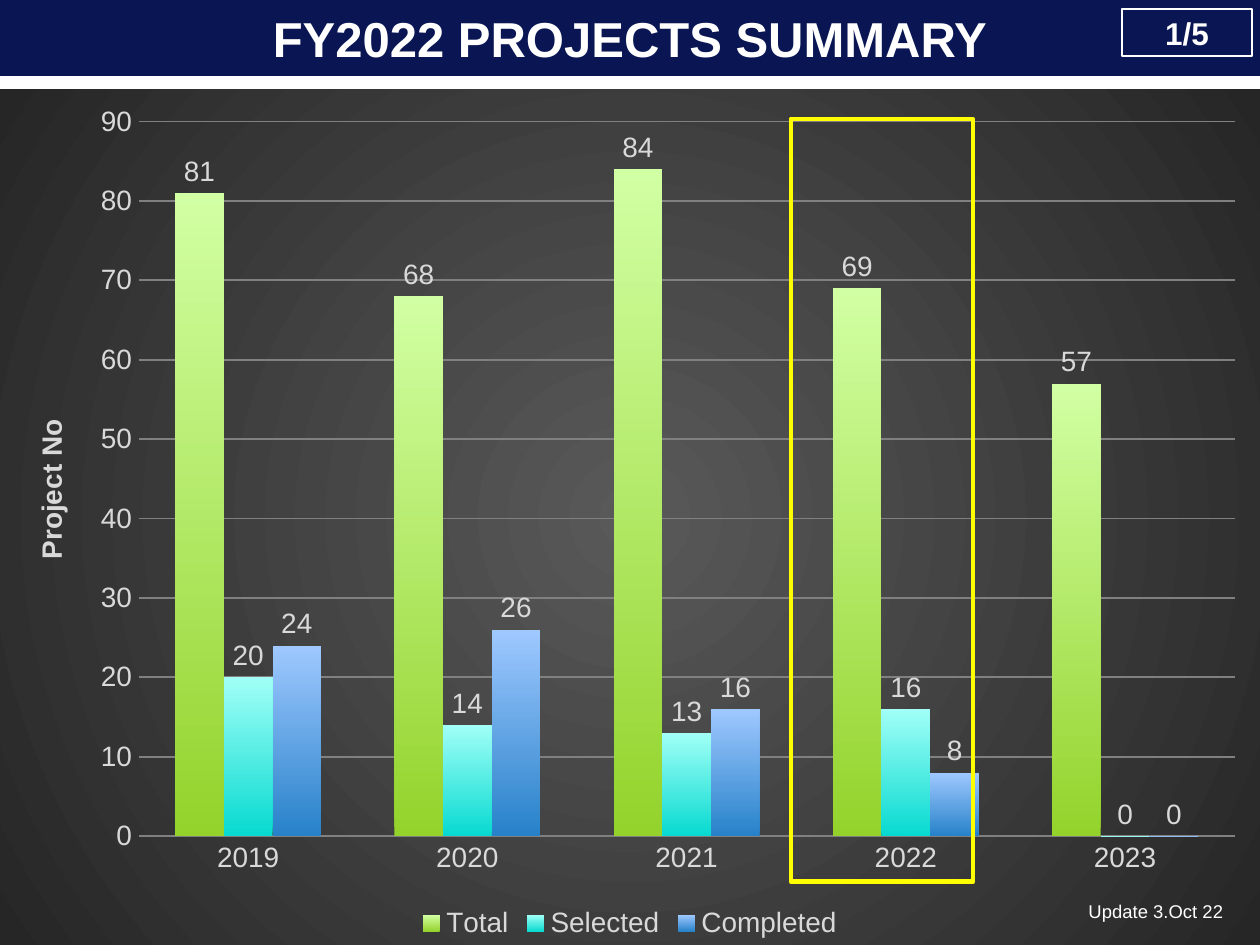
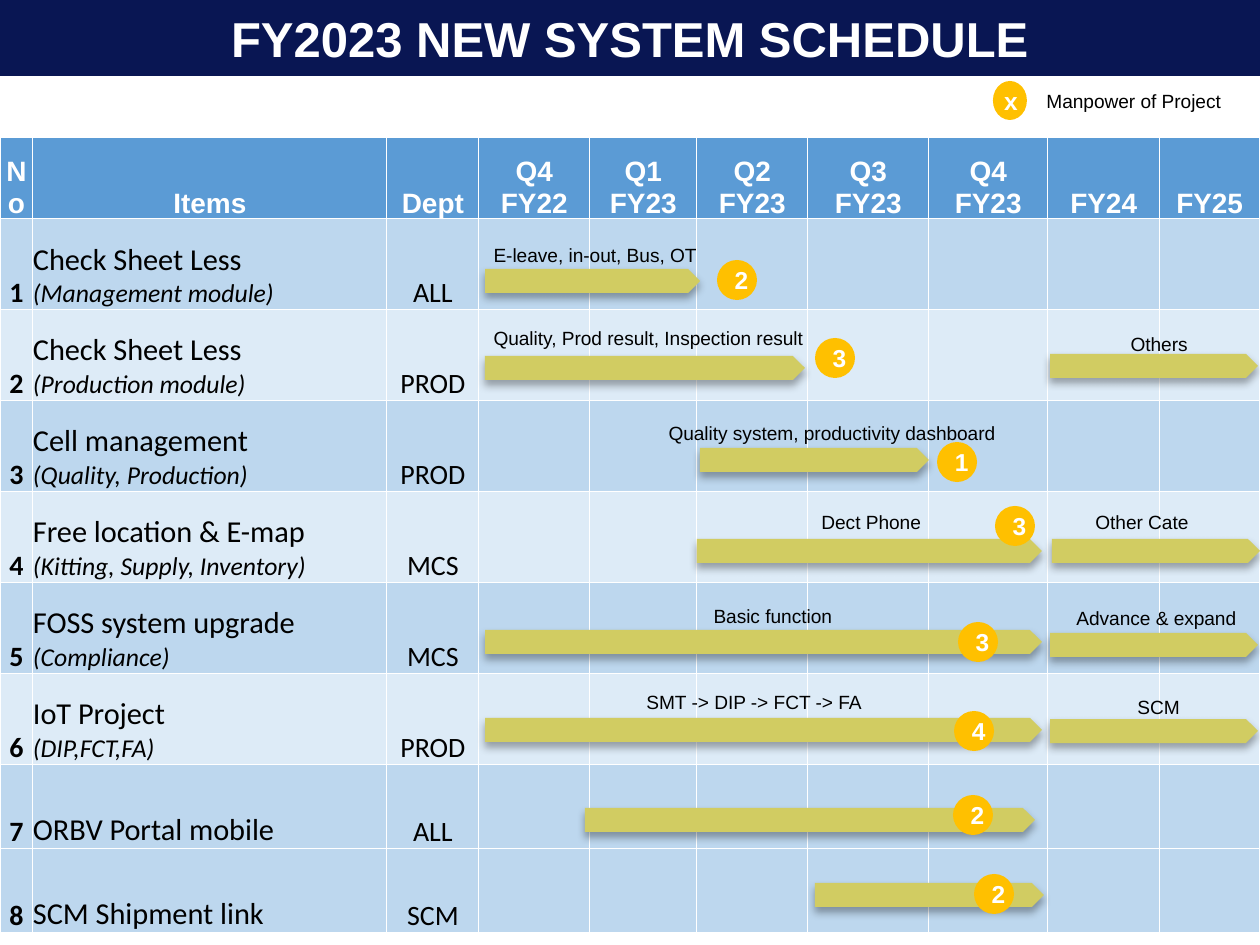
from dataclasses import dataclass

from lxml import etree
from pptx import Presentation
from pptx.chart.data import CategoryChartData
from pptx.dml.color import RGBColor
from pptx.enum.chart import XL_CHART_TYPE as ChartType
from pptx.enum.chart import XL_LABEL_POSITION as LabelPosition
from pptx.enum.chart import XL_LEGEND_POSITION as LegendPosition
from pptx.enum.chart import XL_TICK_MARK as TickMark
from pptx.enum.shapes import MSO_SHAPE as Shape
from pptx.enum.text import MSO_ANCHOR as Anchor
from pptx.enum.text import MSO_AUTO_SIZE as AutoSize
from pptx.enum.text import PP_ALIGN as Align
from pptx.oxml import parse_xml
from pptx.oxml.ns import nsdecls, qn
from pptx.util import Emu, Pt

EMU_PER_PX = 914400 / 168
PAGE_W, PAGE_H = 1260, 945
TITLE_H = 76
BAR_H = 24
CAPTION_H = 40
TABLE_TOP = 137

NAVY = RGBColor(0x09, 0x16, 0x53)
WHITE = RGBColor(0xFF, 0xFF, 0xFF)
BLACK = RGBColor(0x00, 0x00, 0x00)
YELLOW = RGBColor(0xFF, 0xFF, 0x00)
AMBER = RGBColor(0xFF, 0xC0, 0x00)
OLIVE = RGBColor(0xD1, 0xCC, 0x62)
HEADER_BLUE = RGBColor(0x5B, 0x9B, 0xD5)
ROW_BLUE = RGBColor(0xBD, 0xD7, 0xEE)
ROW_PALE = RGBColor(0xDD, 0xEB, 0xF7)
LIGHT_GREY = RGBColor(0xD9, 0xD9, 0xD9)
GRID_GREY = RGBColor(0x80, 0x80, 0x80)
GLOW_CENTRE = RGBColor(0x59, 0x59, 0x59)
GLOW_EDGE = RGBColor(0x26, 0x26, 0x26)


@dataclass(frozen=True)
class Series:
    name: str
    values: tuple[int, ...]
    bottom: RGBColor
    top: RGBColor


@dataclass(frozen=True)
class Project:
    name: str
    scope: str
    dept: str
    height: int
    fill: RGBColor


@dataclass(frozen=True)
class Bar:
    x: int
    y: int
    w: int


@dataclass(frozen=True)
class Caption:
    text: str
    x: int
    y: int
    w: int
    size: float = 8.2
    color: RGBColor = BLACK


@dataclass(frozen=True)
class Badge:
    text: str
    x: int
    y: int
    w: int = 40
    h: int = 40
    inset: int = 9


YEARS = ("2019", "2020", "2021", "2022", "2023")
SERIES = (
    Series("Total", (81, 68, 84, 69, 57), RGBColor(0x94, 0xD3, 0x2C), RGBColor(0xD1, 0xFF, 0xA3)),
    Series("Selected", (20, 14, 13, 16, 0), RGBColor(0x07, 0xDA, 0xD0), RGBColor(0xA1, 0xFF, 0xF7)),
    Series("Completed", (24, 26, 16, 8, 0), RGBColor(0x27, 0x82, 0xC9), RGBColor(0x9F, 0xC8, 0xFF)),
)
HEADERS = ("No", "Items", "Dept", "Q4\nFY22", "Q1\nFY23", "Q2\nFY23",
           "Q3\nFY23", "Q4\nFY23", "FY24", "FY25")
COLUMN_WIDTHS = (33, 354, 92, 111, 107, 111, 121, 119, 112, 100)
HEADER_H = 82
PROJECTS = (
    Project("Check Sheet Less", "(Management module)", "ALL", 91, ROW_BLUE),
    Project("Check Sheet Less", "(Production module)", "PROD", 91, ROW_PALE),
    Project("Cell management", "(Quality, Production)", "PROD", 91, ROW_BLUE),
    Project("Free location & E-map", "(Kitting, Supply, Inventory)", "MCS", 91, ROW_PALE),
    Project("FOSS system upgrade", "(Compliance)", "MCS", 91, ROW_BLUE),
    Project("IoT Project", "(DIP,FCT,FA)", "PROD", 91, ROW_PALE),
    Project("ORBV Portal mobile", "", "ALL", 84, ROW_BLUE),
    Project("SCM Shipment link", "", "SCM", 84, ROW_BLUE),
)
BARS = (
    Bar(485, 269, 215), Bar(485, 356, 320), Bar(700, 448, 229), Bar(697, 539, 345),
    Bar(485, 630, 557), Bar(485, 718, 557), Bar(585, 808, 450), Bar(815, 883, 229),
    Bar(1050, 354, 208), Bar(1052, 539, 208), Bar(1050, 633, 208), Bar(1050, 719, 208),
)
CAPTIONS = (
    Caption("Manpower of Project", 1030, 81, 213),
    Caption("E-leave, in-out, Bus, OT", 477, 235, 242),
    Caption("Quality, Prod result, Inspection result", 477, 318, 376),
    Caption("Others", 1114, 324, 92),
    Caption("Quality system, productivity dashboard", 652, 413, 380),
    Caption("Dect Phone", 805, 502, 136),
    Caption("Other Cate", 1079, 502, 129),
    Caption("Basic function", 697, 596, 155),
    Caption("Advance & expand", 1060, 598, 198),
    Caption("SMT -> DIP -> FCT -> FA", 630, 682, 281),
    Caption("SCM", 1121, 687, 77),
)
BADGES = (
    Badge("x", 993, 81, 34, 39, 2), Badge("2", 717, 260), Badge("3", 815, 338),
    Badge("1", 937, 442), Badge("3", 995, 506), Badge("3", 958, 622),
    Badge("4", 954, 711), Badge("2", 953, 795), Badge("2", 974, 874),
)


def px(length: int) -> Emu:
    return Emu(round(length * EMU_PER_PX))


def box(x: int, y: int, w: int, h: int) -> tuple[Emu, Emu, Emu, Emu]:
    return px(x), px(y), px(w), px(h)


def style(font, size: float, color: RGBColor, bold: bool = False,
          italic: bool = False, face: str = "Arial") -> None:
    font.name, font.size, font.bold, font.italic = face, Pt(size), bold, italic
    font.color.rgb = color


def style_runs(paragraph, *args, **kwargs) -> None:
    for run in paragraph.runs:
        style(run.font, *args, **kwargs)


def clear_insets(holder) -> None:
    holder.margin_left = holder.margin_right = holder.margin_top = holder.margin_bottom = 0


def add_titled_slide(deck, title: str):
    slide = deck.slides.add_slide(deck.slide_layouts[5])
    band = slide.shapes.title
    band.left, band.top, band.width, band.height = box(0, 0, PAGE_W, TITLE_H)
    band.fill.solid()
    band.fill.fore_color.rgb = NAVY
    frame = band.text_frame
    frame.text = title
    frame.auto_size = AutoSize.NONE
    frame.vertical_anchor = Anchor.MIDDLE
    frame.paragraphs[0].alignment = Align.CENTER
    style_runs(frame.paragraphs[0], 21, WHITE, bold=True)
    return slide


def add_preset(slide, preset, x: int, y: int, w: int, h: int,
               fill: RGBColor | None = None, line: RGBColor | None = None, weight: float = 1):
    shape = slide.shapes.add_shape(preset, *box(x, y, w, h))
    shape.shadow.inherit = False
    if fill is None:
        shape.fill.background()
    else:
        shape.fill.solid()
        shape.fill.fore_color.rgb = fill
    if line is None:
        shape.line.fill.background()
    else:
        shape.line.color.rgb = line
        shape.line.width = Pt(weight)
    return shape


def set_centred(shape, text: str, size: float) -> None:
    frame = shape.text_frame
    frame.text = text
    frame.word_wrap = True
    frame.vertical_anchor = Anchor.MIDDLE
    clear_insets(frame)
    frame.paragraphs[0].alignment = Align.CENTER
    style_runs(frame.paragraphs[0], size, WHITE, bold=True)


def add_caption(slide, caption: Caption) -> None:
    frame = slide.shapes.add_textbox(*box(caption.x, caption.y, caption.w, CAPTION_H)).text_frame
    frame.text = caption.text
    frame.word_wrap = True
    frame.margin_right = 0
    style_runs(frame.paragraphs[0], caption.size, caption.color)


def add_bar(slide, bar: Bar) -> None:
    arrow = add_preset(slide, Shape.PENTAGON, bar.x, bar.y, bar.w, BAR_H, OLIVE)
    effects = arrow._element.spPr.find(qn("a:effectLst"))
    effects.append(parse_xml(
        f'<a:outerShdw {nsdecls("a")} blurRad="{Pt(3.5)}" dist="{Pt(2.2)}" dir="5400000" '
        'rotWithShape="0"><a:srgbClr val="000000"><a:alpha val="32000"/></a:srgbClr></a:outerShdw>'))


def add_badge(slide, badge: Badge) -> None:
    circle = add_preset(slide, Shape.OVAL, badge.x, badge.y, badge.w, badge.h, AMBER)
    set_centred(circle, badge.text, 10.5)
    circle.text_frame.margin_left = px(badge.inset)


def fill_cell(cell, text: str, fill: RGBColor, align=Align.CENTER):
    clear_insets(cell)
    cell.vertical_anchor = Anchor.BOTTOM
    properties = cell._tc.get_or_add_tcPr()
    for side in ("lnL", "lnR", "lnT", "lnB"):
        border = etree.SubElement(properties, qn(f"a:{side}"), w=str(Pt(0.5)))
        paint = etree.SubElement(border, qn("a:solidFill"))
        etree.SubElement(paint, qn("a:srgbClr"), val=str(WHITE))
    cell.fill.solid()
    cell.fill.fore_color.rgb = fill
    cell.text_frame.text = text
    for paragraph in cell.text_frame.paragraphs:
        paragraph.alignment = align
    return cell.text_frame.paragraphs


def add_schedule_table(slide) -> None:
    heights = (HEADER_H, *(project.height for project in PROJECTS))
    table = slide.shapes.add_table(len(heights), len(HEADERS),
                                   *box(0, TABLE_TOP, PAGE_W, sum(heights))).table
    for column, width in zip(table.columns, COLUMN_WIDTHS):
        column.width = px(width)
    for row, height in zip(table.rows, heights):
        row.height = px(height)
    for col, header in enumerate(HEADERS):
        for paragraph in fill_cell(table.cell(0, col), header, HEADER_BLUE):
            style_runs(paragraph, 12, WHITE, bold=True)
    for number, project in enumerate(PROJECTS, 1):
        item = "\n".join(filter(None, (project.name, project.scope)))
        cells = [table.cell(number, col) for col in range(len(HEADERS))]
        label = fill_cell(cells[0], str(number), project.fill)
        style_runs(label[0], 12, BLACK, bold=True, face="Calibri")
        name, *scope = fill_cell(cells[1], item, project.fill, Align.LEFT)
        style_runs(name, 13, BLACK, face="Calibri")
        for paragraph in scope:
            style_runs(paragraph, 11, BLACK, italic=True, face="Calibri")
        dept = fill_cell(cells[2], project.dept, project.fill)
        style_runs(dept[0], 12, BLACK, face="Calibri")
        for cell in cells[3:]:
            fill_cell(cell, "", project.fill)


def set_chart_backdrop(chart) -> None:
    space = chart._chartSpace
    stops = "".join(f'<a:gs pos="{pos}"><a:srgbClr val="{color}"/></a:gs>'
                    for pos, color in ((0, GLOW_CENTRE), (100000, GLOW_EDGE)))
    space.find(qn("c:chart")).addnext(parse_xml(
        f'<c:spPr {nsdecls("c", "a")}><a:gradFill><a:gsLst>{stops}</a:gsLst>'
        '<a:path path="circle"><a:fillToRect l="50000" t="50000" r="50000" b="50000"/></a:path>'
        '</a:gradFill><a:ln><a:noFill/></a:ln></c:spPr>'))
    plot_area = space.find(qn("c:chart")).find(qn("c:plotArea"))
    for layout in plot_area.findall(qn("c:layout")):
        plot_area.remove(layout)
    places = "".join(f'<c:{key} val="{value}"/>' for key, value in (
        ("layoutTarget", "inner"), ("xMode", "edge"), ("yMode", "edge"),
        ("x", 0.11), ("y", 0.038), ("w", 0.87), ("h", 0.835)))
    plot_area.insert(0, parse_xml(
        f'<c:layout {nsdecls("c")}><c:manualLayout>{places}</c:manualLayout></c:layout>'))


def add_projects_chart(slide) -> None:
    data = CategoryChartData()
    data.categories = YEARS
    for series in SERIES:
        data.add_series(series.name, series.values)
    chart = slide.shapes.add_chart(ChartType.COLUMN_CLUSTERED,
                                   *box(0, 89, PAGE_W, PAGE_H - 89), data).chart
    style(chart.font, 12, LIGHT_GREY)
    chart.has_title = False
    chart.has_legend = True
    chart.legend.position = LegendPosition.BOTTOM
    chart.legend.include_in_layout = False
    style(chart.legend.font, 12, LIGHT_GREY)
    for axis in (chart.category_axis, chart.value_axis):
        axis.major_tick_mark = axis.minor_tick_mark = TickMark.NONE
        axis.format.line.fill.background()
        style(axis.tick_labels.font, 12, LIGHT_GREY)
    scale = chart.value_axis
    scale.minimum_scale, scale.maximum_scale, scale.major_unit = 0, 90, 10
    scale.major_gridlines.format.line.color.rgb = GRID_GREY
    scale.major_gridlines.format.line.width = Pt(0.75)
    scale.axis_title.text_frame.text = "Project No"
    style_runs(scale.axis_title.text_frame.paragraphs[0], 12, LIGHT_GREY, bold=True)
    plot = chart.plots[0]
    plot.gap_width, plot.overlap, plot.vary_by_categories = 150, 0, False
    for columns, series in zip(plot.series, SERIES):
        fill = columns.format.fill
        fill.gradient()
        fill.gradient_angle = 90
        for stop, color, position in zip(fill.gradient_stops, (series.bottom, series.top), (0, 1)):
            stop.color.rgb, stop.position = color, position
        labels = columns.data_labels
        labels.show_value = True
        labels.position = LabelPosition.OUTSIDE_END
        style(labels.font, 12, LIGHT_GREY)
    set_chart_backdrop(chart)


def build_summary(deck) -> None:
    slide = add_titled_slide(deck, "FY2022 PROJECTS SUMMARY")
    add_projects_chart(slide)
    add_caption(slide, Caption("Update 3.Oct 22", 1072, 892, 170, 7.9, WHITE))
    add_preset(slide, Shape.RECTANGLE, 791, 119, 182, 763, line=YELLOW, weight=2)
    page_mark = add_preset(slide, Shape.RECTANGLE, 1122, 9, 130, 47, line=WHITE, weight=0.75)
    set_centred(page_mark, "1/5", 13.5)


def build_schedule(deck) -> None:
    slide = add_titled_slide(deck, "FY2023 NEW SYSTEM SCHEDULE")
    add_schedule_table(slide)
    for draw, parts in ((add_bar, BARS), (add_caption, CAPTIONS), (add_badge, BADGES)):
        for part in parts:
            draw(slide, part)


def main() -> None:
    deck = Presentation()
    deck.slide_width, deck.slide_height = px(PAGE_W), px(PAGE_H)
    build_summary(deck)
    build_schedule(deck)
    deck.save("out.pptx")


if __name__ == "__main__":
    main()
